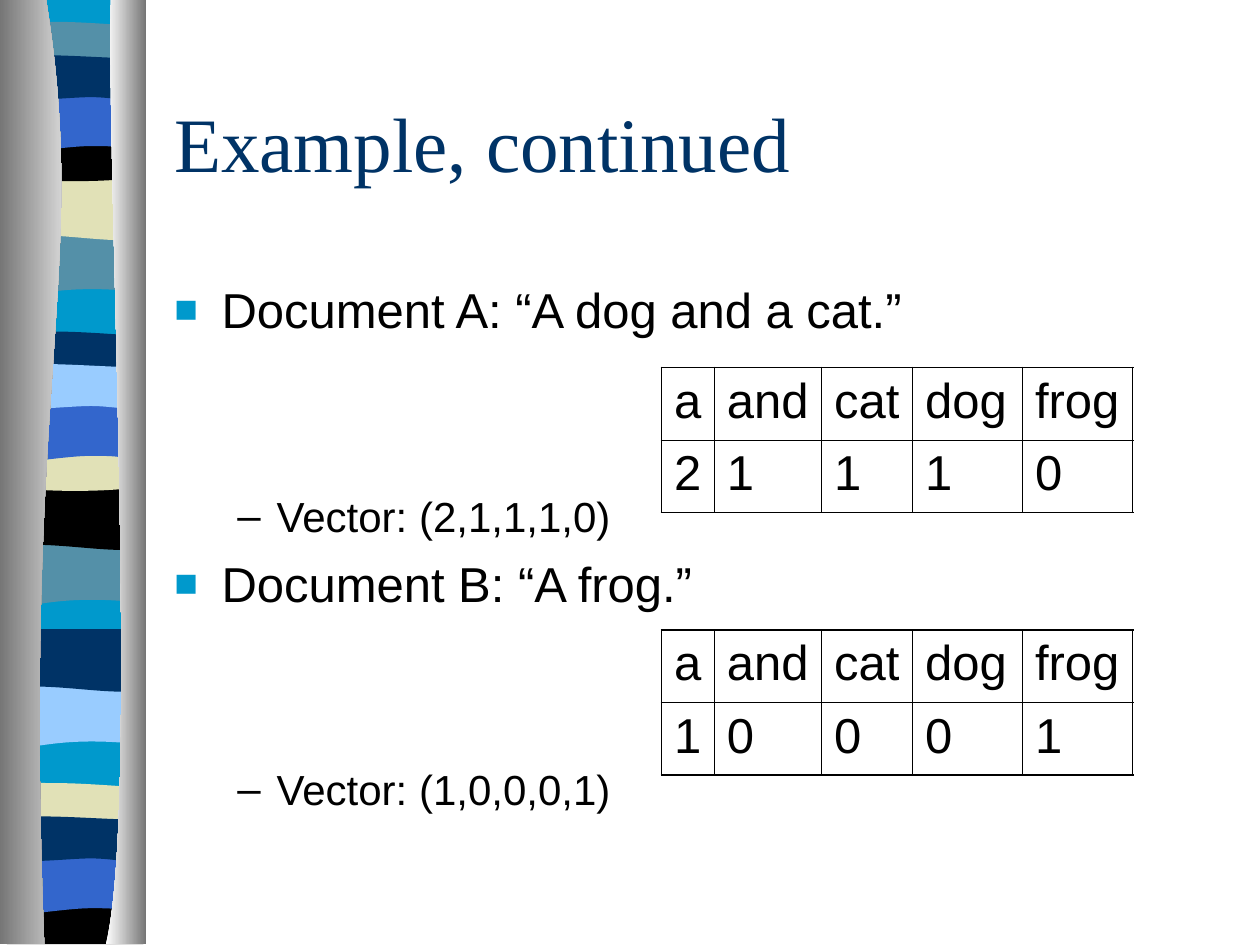
"""Build the example slide with its wavy side strip, list and count tables."""
import pptx
import pptx.dml.color
import pptx.enum.text
import pptx.oxml.ns
import pptx.util
from lxml import etree

Pt = pptx.util.Pt
RGB = pptx.dml.color.RGBColor
TEAL = RGB(0x00, 0x99, 0xCC)
SLATE = RGB(0x54, 0x90, 0xA8)
SAND = RGB(0xE1, 0xE1, 0xB7)
BLACK = RGB(0x00, 0x00, 0x00)
BLUE = RGB(0x33, 0x66, 0xCC)
NAVY = RGB(0x00, 0x33, 0x66)
SKY = RGB(0x99, 0xCC, 0xFF)
WHITE = RGB(0xFF, 0xFF, 0xFF)
GREY = RGB(0x76, 0x76, 0x76)

BASE = [[(78, 0)], [(78, 538.5)], [(0, 538.5)], [(0, 0)]]
TAIL = [[(78, 0)], [(78, 34)], [(24, 28), (13, 39.6), (0, 34)], [(0, 0)]]
SWELL = [[(78, 0)], [(78, 34)], [(65, 39.6), (24, 29.5), (0, 34)], [(0, 0)]]
THIN = [[(78, 3.6)], [(78, 21)], [(65, 24), (13, 24), (0, 21)], [(0, 3.6)],
        [(4, 0), (17, 1), (30, 1)], [(43, 1), (68, 3), (78, 3.6)]]
DIP = [[(78, 0)], [(78, 23)], [(65, 27), (13, 27), (0, 23)], [(0, 0)],
       [(48, 3.6), (61, 0), (78, 0)]]
FOOT = [[(78, 0)], [(78, 27)], [(0, 27)], [(0, 0)], [(48, 3.6), (61, 0), (78, 0)]]
ARCH = [[(78, 0)], [(78, 34)], [(66, 30), (60, 30), (48, 30)],
        [(35, 30), (12, 34), (0, 34)], [(0, 0)]]
ROLL = [[(78, 3.6)], [(78, 26)], [(73, 29.5), (61, 26), (48, 26)],
        [(35, 26), (8, 29.5), (0, 26)], [(0, 3.6)], [(11, 0), (53, 3.6), (66, 3.6)],
        [(79, 3.6), (76, 3.6), (78, 3.6)]]
LEFT = [[(26.3, 0)], [(51.5, 156), (12.5, 213), (25.3, 540)], [(0, 540)], [(0, 0)]]
RIGHT = [[(63.4, 0)], [(60.5, 90), (80, 465), (60.5, 540)], [(83.5, 540)], [(83.5, 0)]]

BANDS = [
    (BASE, -0.5, TEAL),
    (TAIL, 133, SLATE), (SWELL, 101.5, SAND), (THIN, 11.5, SLATE),
    (DIP, 77.5, BLACK), (ARCH, 53.5, BLUE), (ROLL, 29.5, NAVY),
    (TAIL, 310.5, SLATE), (SWELL, 278.5, BLACK), (THIN, 188.5, NAVY),
    (DIP, 254.5, SAND), (ARCH, 230.5, BLUE), (ROLL, 206, SKY),
    (TAIL, 391.5, SKY), (SWELL, 359.5, NAVY), (THIN, 446.5, SAND),
    (FOOT, 512.5, BLACK), (ARCH, 489, BLUE), (ROLL, 464.5, NAVY),
]
ITEMS = [
    ("Document A: “A dog and a cat.”", 0, 0),
    ("Vector: (2,1,1,1,0)", 1, 86.8),
    ("Document B: “A frog.”", 0, 7),
    ("Vector: (1,0,0,0,1)", 1, 86.8),
]
LEVELS = [(27, -27, 28, "■", TEAL, 80), (58.5, -22.5, 24, "–", BLACK, 100)]
WORDS = ["a", "and", "cat", "dog", "frog"]
COLS = [30.2, 61.3, 52, 62.8, 63]


class Deck:
    """Hold the style and the current slide."""

    sans = "Arial"
    serif = "Times New Roman"

    def __init__(self):
        """Start a deck with one titled slide."""
        self.file = pptx.Presentation()
        self.file.slide_width, self.file.slide_height = Pt(720), Pt(540)
        self.slide = self.file.slides.add_slide(self.file.slide_layouts[1])

    def place(self, shape, left, top, width, height):
        """Move and size a shape."""
        shape.left, shape.top = Pt(left), Pt(top)
        shape.width, shape.height = Pt(width), Pt(height)

    def style(self, para, face, size, ink):
        """Format the runs of a paragraph."""
        for run in para.runs:
            run.font.name, run.font.size = face, Pt(size)
            run.font.color.rgb = ink

    def bend(self, shape, path):
        """Turn each run of three control lines into one cubic curve."""
        lines = list(shape._element.iter(pptx.oxml.ns.qn("a:lnTo")))
        for seg in path[1:]:
            part, lines = lines[:len(seg)], lines[len(seg):]
            if len(seg) == 3:
                curve = etree.Element(pptx.oxml.ns.qn("a:cubicBezTo"))
                part[0].addprevious(curve)
                for line in part:
                    curve.append(line[0])
                    line.getparent().remove(line)

    def outline(self, path, left, top):
        """Draw a closed outline with no line or shadow."""
        dots = [(Pt(left + x), Pt(top + y)) for seg in path for x, y in seg]
        pen = self.slide.shapes.build_freeform(*dots[0])
        pen.add_line_segments(dots[1:], close=True)
        shape = pen.convert_to_shape()
        self.bend(shape, path)
        shape.shadow.inherit = False
        shape.line.fill.background()
        return shape

    def band(self, path, top, ink):
        """Draw one flat band of the strip."""
        fill = self.outline(path, 4, top).fill
        fill.solid()
        fill.fore_color.rgb = ink

    def edge(self, path, start, end):
        """Draw one shaded edge of the strip."""
        fill = self.outline(path, 0, -0.5).fill
        fill.gradient()
        fill.gradient_angle = 0
        for stop, ink in zip(fill.gradient_stops, (start, end)):
            stop.color.rgb = ink

    def title(self, text):
        """Fill the title."""
        shape = self.slide.shapes.title
        self.place(shape, 92.4, 36, 612, 90)
        frame = shape.text_frame
        frame.text = text
        frame.auto_size = pptx.enum.text.MSO_AUTO_SIZE.NONE
        frame.vertical_anchor = pptx.enum.text.MSO_ANCHOR.MIDDLE
        frame.paragraphs[0].alignment = pptx.enum.text.PP_ALIGN.LEFT
        self.style(frame.paragraphs[0], self.serif, 44, NAVY)

    def bullet(self, para, mark, ink, size):
        """Give a paragraph its bullet."""
        props = para._p.get_or_add_pPr()
        tint = etree.SubElement(props, pptx.oxml.ns.qn("a:buClr"))
        etree.SubElement(tint, pptx.oxml.ns.qn("a:srgbClr"), val=str(ink))
        etree.SubElement(props, pptx.oxml.ns.qn("a:buSzPct"), val=str(size * 1000))
        etree.SubElement(props, pptx.oxml.ns.qn("a:buFont"), typeface=self.sans)
        etree.SubElement(props, pptx.oxml.ns.qn("a:buChar"), char=mark)

    def body(self, items):
        """Fill the list."""
        shape = self.slide.placeholders[1]
        self.place(shape, 92.4, 156.2, 612, 324)
        frame = shape.text_frame
        frame.text = "\n".join(text for text, _, _ in items)
        frame.auto_size = pptx.enum.text.MSO_AUTO_SIZE.NONE
        frame.margin_top = Pt(3.6)
        for para, (_, level, gap) in zip(frame.paragraphs, items):
            left, hang, size, mark, ink, scale = LEVELS[level]
            para.level = level
            self.bullet(para, mark, ink, scale)
            props = para._p.get_or_add_pPr()
            props.set("marL", str(Pt(left)))
            props.set("indent", str(Pt(hang)))
            para.space_before = Pt(gap)
            self.style(para, self.sans, size, BLACK)

    def border(self, cell, sides):
        """Rule the sides of a cell."""
        props = cell._tc.get_or_add_tcPr()
        for i, (side, width) in enumerate(sides.items()):
            line = etree.Element(pptx.oxml.ns.qn("a:ln" + side), w=str(Pt(width)))
            fill = etree.SubElement(line, pptx.oxml.ns.qn("a:solidFill"))
            etree.SubElement(fill, pptx.oxml.ns.qn("a:srgbClr"), val=str(BLACK))
            props.insert(i, line)

    def table(self, top, rows):
        """Draw a ruled table of word counts."""
        frame = self.slide.shapes.add_table(
            len(rows), len(COLS), Pt(378), Pt(top), Pt(sum(COLS)), Pt(82.8))
        grid = frame.table
        grid.first_row = grid.horz_banding = False
        for col, width in zip(grid.columns, COLS):
            col.width = Pt(width)
        for r, row in enumerate(rows):
            for c, text in enumerate(row):
                cell = grid.cell(r, c)
                cell.text_frame.text = text
                cell.fill.background()
                self.style(cell.text_frame.paragraphs[0], self.sans, 28, BLACK)
                outer = {"L": c == 0, "R": c == len(row) - 1,
                         "T": r == 0, "B": r == len(rows) - 1}
                self.border(cell, {s: 1.08 if out else 0.45 for s, out in outer.items()})


def main():
    """Build and save the deck."""
    deck = Deck()
    for band in BANDS:
        deck.band(*band)
    deck.edge(LEFT, GREY, WHITE)
    deck.edge(RIGHT, WHITE, GREY)
    deck.title("Example, continued")
    deck.body(ITEMS)
    deck.table(210, [WORDS, list("21110")])
    deck.table(360, [WORDS, list("10001")])
    deck.file.save("out.pptx")


if __name__ == "__main__":
    main()
